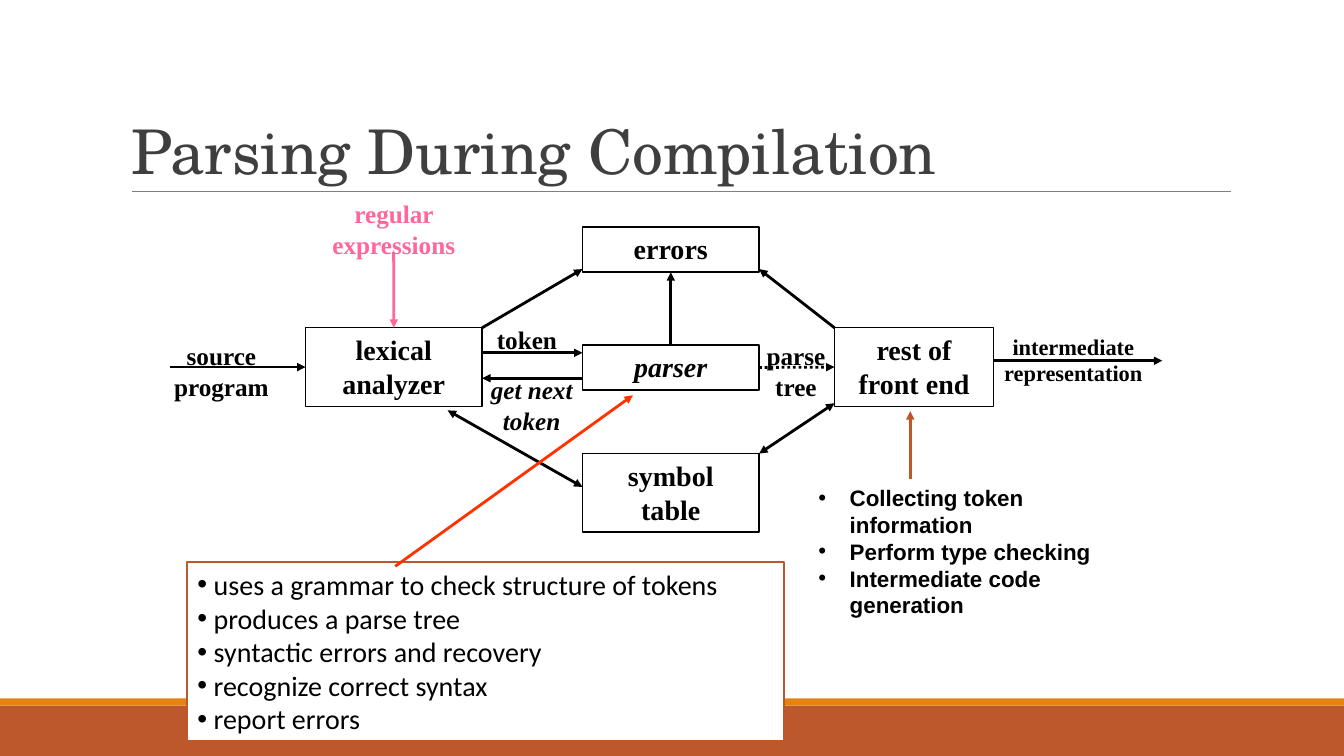
import pptx
import pptx.util
import pptx.dml.color
import pptx.enum.dml
import pptx.enum.shapes
import pptx.enum.text
import pptx.oxml.ns
from lxml import etree

Cm = pptx.util.Cm
Pt = pptx.util.Pt
RGB = pptx.dml.color.RGBColor
ALIGN = pptx.enum.text.PP_ALIGN
ANCHOR = pptx.enum.text.MSO_ANCHOR
qn = pptx.oxml.ns.qn

BLACK = RGB(0, 0, 0)
WHITE = RGB(0xFF, 0xFF, 0xFF)
CHARCOAL = RGB(0x3F, 0x3F, 0x3F)
GRAY = RGB(0x7F, 0x7F, 0x7F)
RUST = RGB(0xBD, 0x58, 0x2C)
ORANGE = RGB(0xE4, 0x83, 0x12)
PINK = RGB(0xFF, 0x66, 0x99)
RED = RGB(0xFF, 0x33, 0)
SERIF = "Times New Roman"
TOP, LEFT, BOTTOM, RIGHT = range(4)

TITLE = "Parsing During Compilation"
TITLE_AREA = (3.05, 0.79, 27.94, 4.04)
BARS = [((0, 17.6, 33.87, 0.18), ORANGE), ((0, 17.78, 33.87, 1.27), RUST)]

STAGES = {
    "errors": ("errors", (14.68, 5.72, 4.45, 1.14), False),
    "lexer": ("lexical analyzer", (7.7, 8.26, 4.45, 1.98), False),
    "parser": ("parser", (14.68, 8.69, 4.45, 1.14), True),
    "rest": ("rest of front end", (21.03, 8.26, 4.01, 1.98), False),
    "symbols": ("symbol\vtable", (14.68, 11.43, 4.45, 1.98), False),
}

LABELS = [
    ("intermediate representation", (24.61, 8.26, 4.88, 1.63), 16, BLACK, False),
    ("source program", (3.89, 8.46, 3.38, 1.78), 18, BLACK, False),
    ("parse tree", (18.69, 8.46, 2.74, 1.78), 18, BLACK, False),
    ("get next token", (11.71, 9.32, 3.38, 1.78), 18, BLACK, True),
    ("token", (11.91, 8.05, 2.74, 1.02), 18, BLACK, False),
    ("regular expressions", (7.7, 4.88, 4.45, 1.78), 18, PINK, False),
]

# start, end, colour, dotted, both ends; an end is a point or a (stage, side) pair
ARROWS = [
    ((12.15, 8.89), (14.68, 8.89), BLACK, False, False),
    ((14.68, 9.53), (12.15, 9.53), BLACK, False, False),
    (("parser", TOP), ("errors", BOTTOM), BLACK, False, False),
    ((12.15, 8.26), (14.68, 6.78), BLACK, False, False),
    ((21.03, 8.26), (19.13, 6.78), BLACK, False, False),
    ((25.04, 9.09), (29.29, 9.09), BLACK, False, False),
    (("parser", RIGHT), ("rest", LEFT), BLACK, True, False),
    ((11.28, 10.34), (14.68, 12.27), BLACK, False, True),
    ((19.13, 11.43), (21.03, 10.16), BLACK, False, True),
    ((4.29, 9.25), ("lexer", LEFT), BLACK, False, False),
    ((9.92, 6.35), ("lexer", TOP), PINK, False, False),
    ((22.94, 12.07), (22.94, 10.36), RUST, False, False),
    ((9.96, 14.27), (15.95, 9.96), RED, False, False),
]

PARSER_TASKS = [
    "uses a grammar to check structure of tokens",
    "produces a parse tree",
    "syntactic errors and recovery",
    "recognize correct syntax",
    "report errors",
]
REST_TASKS = [
    "Collecting token information",
    "Perform type checking",
    "Intermediate code generation",
]
LISTS = [
    (PARSER_TASKS, (4.72, 14.17, 15.04, 4.5), 0.41, {"name": "Calibri", "size": Pt(20), "bold": False}),
    (REST_TASKS, (20.37, 12.07, 8.8, 3.68), 0.79, {"name": "Arial", "size": Pt(16), "bold": True}),
]


def apply(target, values):
    for key, value in values.items():
        setattr(target, key, value)


def place(shape, area):
    apply(shape, dict(zip(("left", "top", "width", "height"), map(Cm, area))))


def write(shape, lines, font, color, para_format, anchor=ANCHOR.TOP):
    frame = shape.text_frame
    apply(frame, {"word_wrap": True, "auto_size": pptx.enum.text.MSO_AUTO_SIZE.NONE,
                  "vertical_anchor": anchor})
    frame.text = "\n".join(lines)
    for para in frame.paragraphs:
        apply(para, para_format)
        for span in para.runs:
            apply(span.font, font)
            span.font.color.rgb = color


def outline(shape, color, width):
    shape.line.color.rgb = color
    shape.line.width = Pt(width)


def add_rectangle(page, area):
    box = page.shapes.add_shape(pptx.enum.shapes.MSO_SHAPE.RECTANGLE, *map(Cm, area))
    box.shadow.inherit = False
    return box


def add_line(page, start, end, color, width):
    line = page.shapes.add_connector(pptx.enum.shapes.MSO_CONNECTOR.STRAIGHT,
                                     *map(Cm, start + end))
    outline(line, color, width)
    etree.SubElement(line._element.spPr, qn("a:effectLst"))
    return line


def add_arrow(page, boxes, start, end, color, dotted, both):
    points = [(0, 0) if point[0] in boxes else point for point in (start, end)]
    arrow = add_line(page, *points, color, 2)
    for point, join in ((start, arrow.begin_connect), (end, arrow.end_connect)):
        if point[0] in boxes:
            join(boxes[point[0]], point[1])
    if dotted:
        arrow.line.dash_style = pptx.enum.dml.MSO_LINE.ROUND_DOT
    stroke = arrow._element.spPr.find(qn("a:ln"))
    for tag in ("a:headEnd", "a:tailEnd") if both else ("a:tailEnd",):
        etree.SubElement(stroke, qn(tag), type="triangle")


def main():
    deck = pptx.Presentation()
    apply(deck, {"slide_width": Cm(33.87), "slide_height": Cm(19.05)})
    page = deck.slides.add_slide(deck.slide_layouts[3])

    for area, color in BARS:
        bar = add_rectangle(page, area)
        bar.fill.solid()
        bar.fill.fore_color.rgb = color
        bar.line.fill.background()
        page.shapes._spTree.insert(2, bar._element)
    add_line(page, (3.33, 4.83), (31.01, 4.83), GRAY, 0.75)

    place(page.shapes.title, TITLE_AREA)
    write(page.shapes.title, [TITLE], {"name": "TeX Gyre Schola", "size": Pt(44)}, CHARCOAL,
          {"alignment": ALIGN.LEFT, "line_spacing": 0.85}, ANCHOR.BOTTOM)

    for number, (tasks, area, indent, font) in enumerate(LISTS, 1):
        body = page.placeholders[number]
        place(body, area)
        write(body, tasks, font, BLACK, {"space_before": Pt(0)})
        for para in body.text_frame.paragraphs:
            settings = para._p.get_or_add_pPr()
            settings.set("marL", str(Cm(indent)))
            settings.set("indent", str(-Cm(indent)))
    parser_list = page.placeholders[1]
    parser_list.fill.solid()
    parser_list.fill.fore_color.rgb = WHITE
    outline(parser_list, RUST, 1.25)

    boxes = {}
    for name, (text, area, italic) in STAGES.items():
        boxes[name] = add_rectangle(page, area)
        boxes[name].fill.background()
        outline(boxes[name], BLACK, 1)
        write(boxes[name], [text], {"name": SERIF, "size": Pt(20), "bold": True, "italic": italic},
              BLACK, {"alignment": ALIGN.CENTER})

    for arrow in ARROWS:
        add_arrow(page, boxes, *arrow)

    for text, area, size, color, italic in LABELS:
        label = page.shapes.add_textbox(*map(Cm, area))
        write(label, [text], {"name": SERIF, "size": Pt(size), "bold": True, "italic": italic},
              color, {"alignment": ALIGN.CENTER})

    deck.save("out.pptx")


if __name__ == "__main__":
    main()
